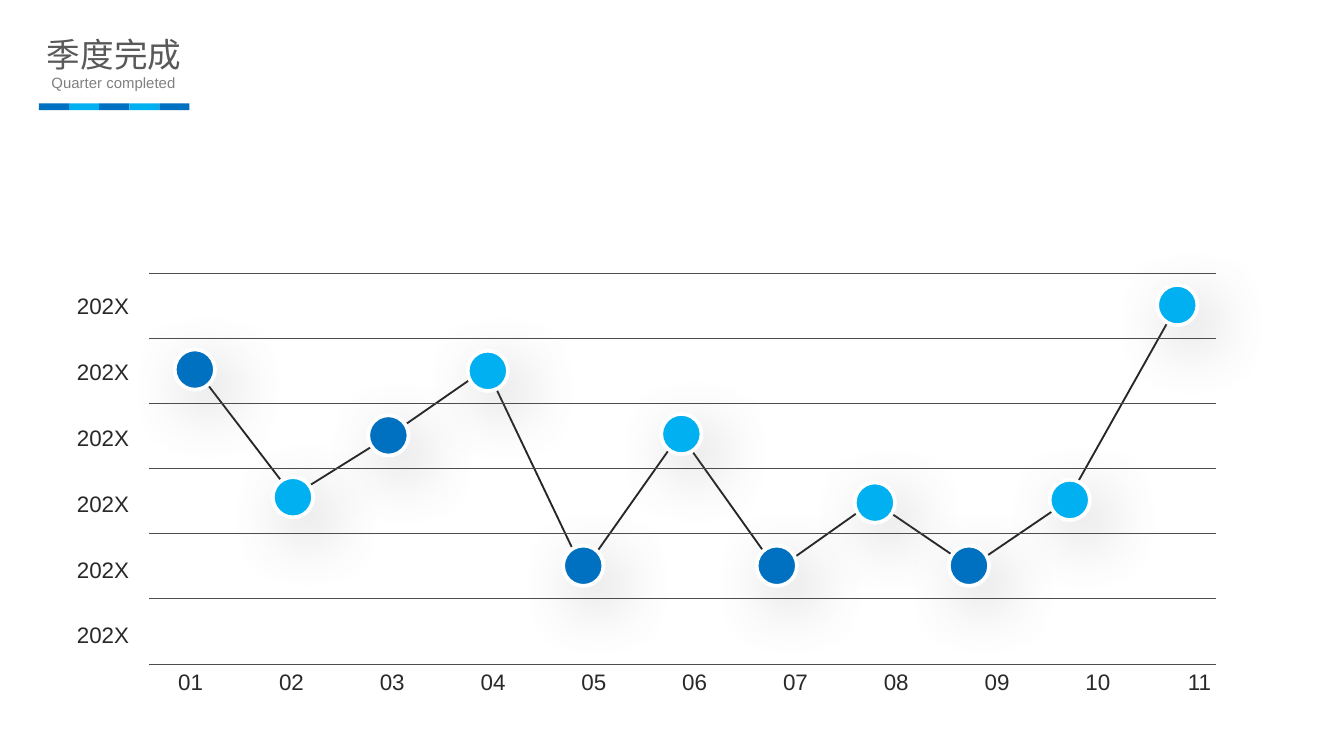
from lxml import etree
from pptx import Presentation
from pptx.dml.color import RGBColor
from pptx.enum.shapes import MSO_CONNECTOR as CONNECTOR, MSO_SHAPE as SHAPE
from pptx.enum.text import MSO_ANCHOR as ANCHOR, PP_ALIGN as ALIGN
from pptx.oxml.ns import qn
from pptx.util import Inches, Pt

BLUE, CYAN = "0070C0", "00B0F0"
WHITE, INK, GRID = "FFFFFF", "292929", "4D4D4D"

# Marker centre x and y, line vertex y (inches from the plot corner), colour
POINTS = [
    (0.34, 0.72, 0.72, BLUE), (1.07, 1.67, 1.66, CYAN),
    (1.78, 1.21, 1.21, BLUE), (2.52, 0.73, 0.71, CYAN),
    (3.23, 2.18, 2.22, BLUE), (3.96, 1.20, 1.20, CYAN),
    (4.67, 2.18, 2.21, BLUE), (5.40, 1.71, 1.70, CYAN),
    (6.10, 2.18, 2.19, BLUE), (6.85, 1.69, 1.70, CYAN),
    (7.65, 0.24, 0.24, CYAN),
]
ROWS = 6
MARKER = 0.3
LABEL_WIDTH, LABEL_HEIGHT = 0.63, 0.27


def color(value):
    return RGBColor.from_string(value)


def add_text(slide, text, box, *, size=12, ink=INK, align=ALIGN.RIGHT,
             anchor=ANCHOR.MIDDLE, wrap=True, insets=(0.1, 0.05)):
    shape = slide.shapes.add_textbox(*map(Inches, box))
    frame = shape.text_frame
    frame.word_wrap = wrap
    frame.vertical_anchor = anchor
    frame.margin_left = frame.margin_right = Inches(insets[0])
    frame.margin_top = frame.margin_bottom = Inches(insets[1])
    paragraph = frame.paragraphs[0]
    paragraph.alignment = align
    run = paragraph.add_run()
    run.text = text
    run.font.size = Pt(size)
    run.font.name = "Arial"
    run.font.color.rgb = color(ink)


def add_filled(slide, kind, box, fill):
    shape = slide.shapes.add_shape(kind, *map(Inches, box))
    shape.shadow.inherit = False
    shape.fill.solid()
    shape.fill.fore_color.rgb = color(fill)
    shape.line.fill.background()
    return shape


def add_soft_shadow(shape):
    effects = shape._element.spPr.find(qn("a:effectLst"))
    shadow = etree.SubElement(
        effects, qn("a:outerShdw"), blurRad=str(Pt(33)), dist=str(Pt(12)),
        dir=str(52 * 60000), algn="tl", rotWithShape="0")
    tint = etree.SubElement(shadow, qn("a:srgbClr"), val="808080")
    etree.SubElement(tint, qn("a:alpha"), val="42000")


def add_trend(slide, left, top):
    # Line through the months; the vertices are evenly spaced but for the last
    vertices = [(Inches(left + 0.35 + 0.72 * index), Inches(top + point[2]))
                for index, point in enumerate(POINTS[:-1])]
    vertices.append((Inches(left + POINTS[-1][0]), Inches(top + POINTS[-1][2])))
    builder = slide.shapes.build_freeform(*vertices[0])
    builder.add_line_segments(vertices[1:], close=False)
    trend = builder.convert_to_shape()
    trend.shadow.inherit = False
    trend.fill.background()
    trend.line.color.rgb = color("262626")
    trend.line.width = Pt(1)

    # Round markers
    for x, y, _, fill in POINTS:
        box = (left + x - MARKER / 2, top + y - MARKER / 2, MARKER, MARKER)
        marker = add_filled(slide, SHAPE.OVAL, box, fill)
        marker.line.color.rgb = color(WHITE)
        marker.line.width = Pt(2)
        add_soft_shadow(marker)


def add_grid(slide, left, top, width, height):
    for row in range(ROWS + 1):
        y = Inches(top + row * height / ROWS)
        line = slide.shapes.add_connector(
            CONNECTOR.STRAIGHT, Inches(left), y, Inches(left + width), y)
        line.line.color.rgb = color(GRID)
        line.line.width = Pt(0.25)
        etree.SubElement(line._element.spPr, qn("a:effectLst"))


def add_plot(slide, left, top, width, height):
    add_trend(slide, left, top)
    add_grid(slide, left, top, width, height)

    # Year labels
    for row in range(ROWS):
        add_text(slide, "202X", (left - 0.68, top + 0.11 + 0.49 * row,
                                 LABEL_WIDTH, LABEL_HEIGHT))

    # Month labels
    for index in range(len(POINTS)):
        add_text(slide, f"{index + 1:02}",
                 (left - 0.13 + 0.75 * index, top + height,
                  LABEL_WIDTH, LABEL_HEIGHT))


def add_header(slide, left, top, width):
    middle = left + width / 2
    add_text(slide, "季度完成", (middle - 0.58, top, 1.16, 0.38), size=18,
             ink="595959", align=ALIGN.CENTER, anchor=ANCHOR.TOP, wrap=False,
             insets=(0.07, 0.04))
    add_text(slide, "Quarter completed", (middle - 0.97, top + 0.29, 1.93, 0.24),
             size=8, ink="808080", align=ALIGN.CENTER, anchor=ANCHOR.TOP)

    # Two-colour rule
    bars = 5
    for index in range(bars):
        box = (left + index * width / bars, top + 0.56, width / bars, 0.05)
        add_filled(slide, SHAPE.RECTANGLE, box, (BLUE, CYAN)[index % 2])


def main():
    presentation = Presentation()
    presentation.slide_width = Inches(10)
    presentation.slide_height = Inches(10) * 9 // 16
    slide = presentation.slides.add_slide(presentation.slide_layouts[6])
    add_plot(slide, 1.11, 2.03, 7.94, 2.91)
    add_header(slide, 0.29, 0.21, 1.12)
    presentation.save("out.pptx")


if __name__ == "__main__":
    main()
